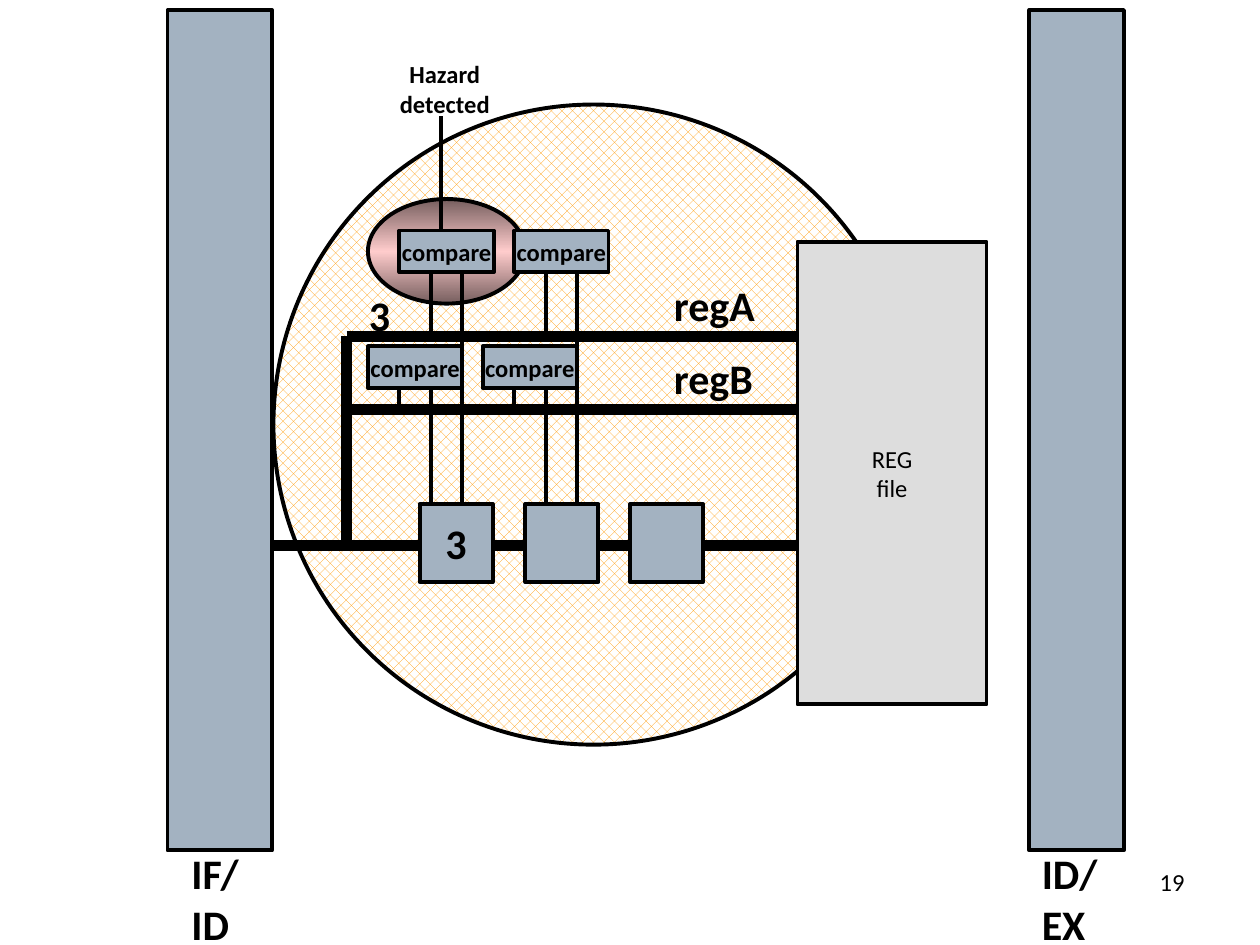
import copy

import pptx
import pptx.dml.color
import pptx.enum.dml
import pptx.enum.shapes
import pptx.enum.text
import pptx.oxml.ns
import pptx.util

Inches = pptx.util.Inches
Pt = pptx.util.Pt
SHAPE = pptx.enum.shapes.MSO_SHAPE
ALIGN = pptx.enum.text.PP_ALIGN
ANCHOR = pptx.enum.text.MSO_ANCHOR

COLORS = {
    "ink": "000000",
    "paper": "FFFFFF",
    "steel": "A3B2C1",
    "file": "DDDDDD",
    "weave": "FF9900",
    "rim": "765E5E",
    "glow": "FFCCCC",
}
THIN, BUS = 2.25, 6
INSTRUCTION_Y = 4.33
REG_A_Y, REG_B_Y = 2.67, 3.25
STAGE_TOP = 4
REG_FILE_LEFT = 6.33


def color(name):
    return pptx.dml.color.RGBColor.from_string(COLORS[name])


def write(shape, text, size=14, bold=False, align=ALIGN.LEFT, anchor=ANCHOR.TOP, wrap=False):
    """Put text in a shape, one paragraph for each line."""
    frame = shape.text_frame
    frame.word_wrap = wrap
    frame.vertical_anchor = anchor
    for number, line in enumerate(text.split("\n")):
        para = frame.add_paragraph() if number else frame.paragraphs[0]
        para.alignment = align
        span = para.add_run()
        span.text = line
        span.font.name = "Calibri"
        span.font.size = Pt(size)
        span.font.bold = bold
        span.font.color.rgb = color("ink")


def add_label(shapes, text, left, top, width, height, **style):
    box = shapes.add_textbox(Inches(left), Inches(top), Inches(width), Inches(height))
    write(box, text, **style)


def add_outlined(shapes, kind, left, top, width, height, fill=None, text=None, **style):
    shape = shapes.add_shape(kind, Inches(left), Inches(top), Inches(width), Inches(height))
    shape.shadow.inherit = False
    shape.line.color.rgb = color("ink")
    shape.line.width = Pt(THIN)
    if fill:
        shape.fill.solid()
        shape.fill.fore_color.rgb = color(fill)
    if text:
        write(shape, text, align=ALIGN.CENTER, anchor=ANCHOR.MIDDLE, **style)
    return shape


def add_wire(shapes, x1, y1, x2, y2, width=THIN):
    wire = shapes.add_connector(
        pptx.enum.shapes.MSO_CONNECTOR.STRAIGHT, Inches(x1), Inches(y1), Inches(x2), Inches(y2)
    )
    wire.line.color.rgb = color("ink")
    wire.line.width = Pt(width)
    properties = wire._element.spPr
    properties.append(properties.makeelement(pptx.oxml.ns.qn("a:effectLst"), {}))


def add_comparator(shapes, left, top, bus_y):
    """A compare box wired to a pipeline stage and to a register bus."""
    bottom = top + 0.33
    add_wire(shapes, left + 0.5, STAGE_TOP, left + 0.5, bottom)
    add_wire(shapes, left + 0.25, bus_y, left + 0.25, bottom)
    add_outlined(shapes, SHAPE.RECTANGLE, left, top, 0.75, 0.33, "steel", "compare", bold=True)


def fill_weave(shape):
    shape.fill.patterned()
    shape.fill.pattern = pptx.enum.dml.MSO_PATTERN.WEAVE
    shape.fill.fore_color.rgb = color("weave")
    shape.fill.back_color.rgb = color("paper")


def fill_glow(shape):
    """Vertical gradient, dark at both ends and light in the middle."""
    shape.fill.gradient()
    shape.fill.gradient_angle = 90
    first = shape._element.spPr.find(".//" + pptx.oxml.ns.qn("a:gs"))
    first.addnext(copy.deepcopy(first))
    for stop, position, name in zip(shape.fill.gradient_stops, (0, 0.5, 1), ("rim", "glow", "rim")):
        stop.position = position
        stop.color.rgb = color(name)


def add_backdrop(shapes):
    fill_weave(add_outlined(shapes, SHAPE.OVAL, 2.17, 0.83, 5.08, 5.08))
    fill_glow(add_outlined(shapes, SHAPE.OVAL, 2.92, 1.58, 1.25, 0.83))
    add_outlined(shapes, SHAPE.RECTANGLE, REG_FILE_LEFT, 1.92, 1.5, 3.67, "file", "REG\nfile")


def add_latches(shapes):
    for left, width, text, label_left, label_width in (
        (1.33, 0.83, "IF/\nID", 1.42, 0.58),
        (8.17, 0.75, "ID/\nEX", 8.17, 0.67),
    ):
        add_outlined(shapes, SHAPE.RECTANGLE, left, 0.08, width, 6.67, "steel")
        add_label(shapes, text, label_left, 6.68, label_width, 0.91, size=24, bold=True)


def add_datapath(shapes):
    split_x = 2.75
    add_wire(shapes, split_x, REG_A_Y, split_x, INSTRUCTION_Y, BUS)
    for y, name in ((REG_A_Y, "regA"), (REG_B_Y, "regB")):
        add_wire(shapes, split_x, y, REG_FILE_LEFT, y, BUS)
        add_label(shapes, name, 5.25, y - 0.5, 0.85, 0.5, size=24, bold=True)

    wire_start = 2.17
    for left, text in ((3.33, "3"), (4.17, None), (5, None)):
        add_wire(shapes, wire_start, INSTRUCTION_Y, left, INSTRUCTION_Y, BUS)
        add_outlined(
            shapes, SHAPE.RECTANGLE, left, STAGE_TOP, 0.58, 0.62, "steel", text, size=24, bold=True
        )
        wire_start = left + 0.58
    add_wire(shapes, wire_start, INSTRUCTION_Y, REG_FILE_LEFT, INSTRUCTION_Y, BUS)


def add_hazard_check(shapes):
    add_comparator(shapes, 3.17, 1.83, REG_A_Y)
    add_wire(shapes, 3.5, 1.83, 3.5, 0.92)
    add_label(shapes, "Hazard\ndetected", 3.07, 0.42, 0.92, 0.57, bold=True, align=ALIGN.CENTER)
    add_comparator(shapes.add_group_shape().shapes, 4.08, 1.83, REG_A_Y)
    lower_pair = shapes.add_group_shape().shapes
    for left in (2.92, 3.83):
        add_comparator(lower_pair, left, 2.75, REG_B_Y)
    add_label(shapes, "3", 2.83, 2.25, 0.37, 0.5, size=24, bold=True)


def main():
    deck = pptx.Presentation()
    deck.slide_width, deck.slide_height = Inches(10), Inches(7.5)
    page = deck.slides.add_slide(deck.slide_layouts.get_by_name("Blank"))
    add_label(page.shapes, "19", 7.17, 6.83, 2.33, 0.52, align=ALIGN.RIGHT, wrap=True)
    add_backdrop(page.shapes)
    add_latches(page.shapes)
    add_datapath(page.shapes)
    add_hazard_check(page.shapes)
    deck.save("out.pptx")


if __name__ == "__main__":
    main()
